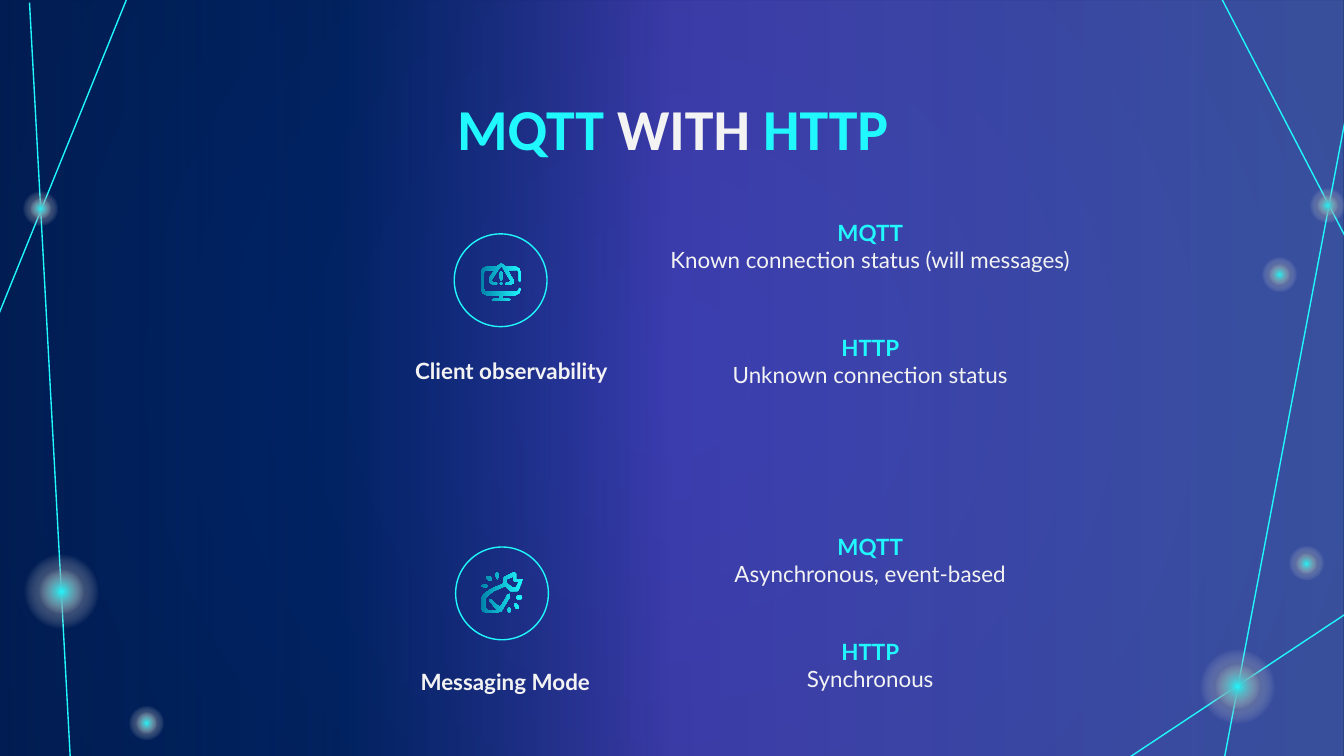
from lxml import etree
from pptx import Presentation
from pptx.dml.color import RGBColor
from pptx.enum.shapes import MSO_CONNECTOR, MSO_SHAPE
from pptx.enum.text import MSO_ANCHOR, MSO_AUTO_SIZE, PP_ALIGN
from pptx.oxml.ns import qn
from pptx.util import Inches, Pt

OVAL, RECT = MSO_SHAPE.OVAL, MSO_SHAPE.RECTANGLE
STRAIGHT = MSO_CONNECTOR.STRAIGHT
TOP, CENTER, NO_FIT = MSO_ANCHOR.TOP, PP_ALIGN.CENTER, MSO_AUTO_SIZE.NONE

THEME = {
    "cyan": "20F8FD", "teal": "0182AA", "light": "F3F3F3",
    "navy": "012060", "midnight": "00183A", "blue": "022E88",
    "violet": "7659FF", "periwinkle": "748BFF",
    "title_font": "Calibri", "body_font": "Lato",
    "title_size": 31, "body_size": 12, "line_width": 0.75,
}


def set_gradient(target, element, stops, angle=None):
    """Fill with (position, colour, opacity) stops; radial when angle is None."""
    target.fill.gradient()
    gradient = element.find(".//" + qn("a:gradFill"))
    for child in list(gradient):
        gradient.remove(child)
    stop_list = etree.SubElement(gradient, qn("a:gsLst"))
    for position, colour, opacity in stops:
        stop = etree.SubElement(stop_list, qn("a:gs"), pos=str(position * 1000))
        shade = etree.SubElement(stop, qn("a:srgbClr"), val=THEME[colour])
        etree.SubElement(shade, qn("a:alpha"), val=str(opacity * 1000))
    if angle is None:
        radial = etree.SubElement(gradient, qn("a:path"), path="circle")
        etree.SubElement(radial, qn("a:fillToRect"), l="50000", t="50000", r="50000", b="50000")
    else:
        etree.SubElement(gradient, qn("a:lin"), ang=str(angle * 60000), scaled="0")


def write_text(shape, box, paragraphs, font, size):
    """Place a text shape and fill it; each run is (text, colour, bold)."""
    shape.left, shape.top, shape.width, shape.height = map(Inches, box)
    frame = shape.text_frame
    frame.word_wrap, frame.auto_size, frame.vertical_anchor = True, NO_FIT, TOP
    frame.margin_left = frame.margin_right = Inches(0.1)
    frame.margin_top = frame.margin_bottom = Inches(0.1)
    for number, runs in enumerate(paragraphs):
        paragraph = frame.add_paragraph() if number else frame.paragraphs[0]
        paragraph.alignment = CENTER
        for text, colour, bold in runs:
            run = paragraph.add_run()
            run.text = text
            run.font.name, run.font.size, run.font.bold = font, Pt(size), bold
            run.font.color.rgb = RGBColor.from_string(THEME[colour])


# Widescreen 16:9 slide
prs = Presentation()
prs.slide_width, prs.slide_height = Inches(10), Inches(10 * 9 / 16)
slide = prs.slides.add_slide(prs.slide_layouts[5])
shapes = slide.shapes
cyan = RGBColor.from_string(THEME["cyan"])

# Background and colour wash
set_gradient(slide.background, slide._element, [(0, "navy", 100), (100, "midnight", 100)])
wash = shapes.add_shape(RECT, 0, 0, prs.slide_width, prs.slide_height)
wash.shadow.inherit = False
wash.line.fill.background()
set_gradient(wash, wash._element, [
    (0, "navy", 60), (25, "blue", 35), (50, "violet", 50), (100, "periwinkle", 49),
], angle=0)

# Network lines
for x1, y1, x2, y2 in [
    (-0.01, 2.34, 0.94, 0), (0.53, 5.77, 0.22, 0.02), (8.23, 5.75, 10.04, 4.55),
    (9.09, -0.01, 10.02, 1.78), (9.08, 5.8, 10.03, 0.78),
]:
    link = shapes.add_connector(STRAIGHT, Inches(x1), Inches(y1), Inches(x2), Inches(y2))
    link.line.color.rgb = cyan
    link.line.width = Pt(THEME["line_width"])
    etree.SubElement(link._element.spPr, qn("a:effectLst"))

# Glowing nodes: a wide halo with a smaller core, given by centre and halo size
for x, y, halo in [
    (0.46, 4.4, 0.79), (9.21, 5.11, 0.79), (0.3, 1.55, 0.37), (9.88, 1.53, 0.37),
    (9.52, 2.04, 0.37), (9.72, 4.19, 0.37), (1.09, 5.38, 0.37),
]:
    for colour, size in [("midnight", halo), ("cyan", halo * 0.6)]:
        glow = shapes.add_shape(OVAL, Inches(x - size / 2), Inches(y - size / 2),
                                Inches(size), Inches(size))
        glow.shadow.inherit = False
        glow.line.fill.background()
        set_gradient(glow, glow._element,
                     [(0, colour, 100), (50, "light", 0), (100, "light", 0)])

# Title, brought in front of the wash
title = shapes.title
shapes._spTree.append(title._element)
write_text(title, (0.79, 0.59, 8.43, 0.69),
           [[("MQTT ", "cyan", True), ("WITH ", "light", True), ("HTTP", "cyan", True)]],
           THEME["title_font"], THEME["title_size"])

# Icon outlines, in hundredths of an inch from the icon's top left
MONITOR = [
    [(14, 15), (15, 14), (16, 15), (15, 16)],
    [(16, 11), (16, 7), (15, 6), (14, 7), (14, 11), (15, 13)],
    [(29, 14), (30, 13), (30, 7), (29, 4), (25, 2), (18, 2), (15, 0), (12, 2), (5, 2),
     (1, 4), (0, 7), (0, 19), (1, 22), (5, 24), (14, 24), (14, 26), (10, 26), (8, 27),
     (10, 28), (20, 28), (22, 27), (20, 26), (16, 26), (16, 24), (25, 24), (29, 22),
     (30, 19), (29, 18), (28, 19), (27, 21), (25, 21), (5, 21), (3, 21), (2, 19), (2, 7),
     (3, 5), (5, 5), (10, 5), (6, 11), (6, 14), (9, 16), (11, 16), (12, 15), (11, 14),
     (9, 14), (8, 13), (8, 12), (14, 3), (15, 2), (16, 3), (20, 10), (22, 13), (21, 14),
     (19, 14), (18, 15), (19, 16), (21, 16), (24, 15), (24, 12), (22, 9), (20, 5),
     (25, 5), (27, 5), (28, 7), (28, 13)],
]
WRENCH = [
    [(28, 13), (31, 6), (31, 5), (30, 5), (26, 5), (26, 1), (25, 0), (24, 0), (18, 3),
     (17, 4), (17, 8), (15, 9), (8, 12), (2, 16), (0, 20), (0, 26), (1, 29), (5, 30),
     (10, 30), (15, 29), (21, 19), (21, 18), (21, 16), (19, 17), (19, 18), (14, 26),
     (7, 20), (6, 20), (6, 21), (12, 28), (10, 28), (5, 28), (3, 26), (3, 20), (4, 18),
     (9, 14), (16, 11), (18, 10), (21, 13), (22, 14), (27, 14)],
    [(23, 11), (19, 8), (19, 5), (24, 3), (24, 6), (25, 7), (28, 7), (26, 11)],
    [(4, 4), (4, 3), (6, 3), (8, 4), (8, 6), (7, 6), (6, 6)],
    [(11, 3), (11, 1), (12, 0), (13, 1), (13, 3), (12, 5)],
    [(0, 10), (2, 9), (4, 9), (5, 10), (4, 11), (2, 11)],
    [(28, 25), (28, 27), (27, 27), (26, 27), (25, 25), (25, 23), (26, 23)],
    [(31, 19), (30, 20), (27, 20), (26, 19), (27, 17), (30, 17)],
    [(22, 27), (22, 29), (21, 30), (20, 29), (20, 27), (21, 26)],
]

# Compared topics: ring, icon and label
for ring_x, ring_y, icon_y, contours, label, label_box in [
    (3.38, 1.74, 1.96, MONITOR, "Client observability", (2.47, 2.56, 2.52, 0.45)),
    (3.39, 4.07, 4.26, WRENCH, "Messaging Mode", (2.37, 4.87, 2.63, 0.45)),
]:
    ring = shapes.add_shape(OVAL, Inches(ring_x), Inches(ring_y), Inches(0.69), Inches(0.69))
    ring.shadow.inherit = False
    ring.fill.background()
    ring.line.color.rgb = cyan
    ring.line.width = Pt(THEME["line_width"])

    outline = shapes.build_freeform(*contours[0][0], scale=Inches(0.01))
    for number, contour in enumerate(contours):
        if number:
            outline.move_to(*contour[0])
        outline.add_line_segments(contour[1:], close=True)
    icon = outline.convert_to_shape(Inches(3.58), Inches(icon_y))
    icon.shadow.inherit = False
    icon.line.fill.background()
    set_gradient(icon, icon._element, [(0, "cyan", 100), (100, "teal", 100)], angle=180)

    topic = shapes.add_textbox(0, 0, 0, 0)
    write_text(topic, label_box, [[(label, "light", True)]],
               THEME["body_font"], THEME["body_size"])
    indents = topic.text_frame.paragraphs[0]._p.get_or_add_pPr()
    indents.set("marL", str(Inches(0.5)))
    indents.set("indent", str(Inches(-0.35)))

# Protocol traits
for top, height, protocol, trait in [
    (1.53, 0.75, "MQTT", "Known connection status (will messages)"),
    (2.39, 0.6, "HTTP", "Unknown connection status"),
    (3.87, 0.75, "MQTT", "Asynchronous, event-based"),
    (4.65, 0.61, "HTTP", "Synchronous"),
]:
    write_text(shapes.add_textbox(0, 0, 0, 0), (4.78, top, 3.39, height),
               [[(protocol, "cyan", True)], [(trait, "light", False)]],
               THEME["body_font"], THEME["body_size"])

prs.save("out.pptx")
